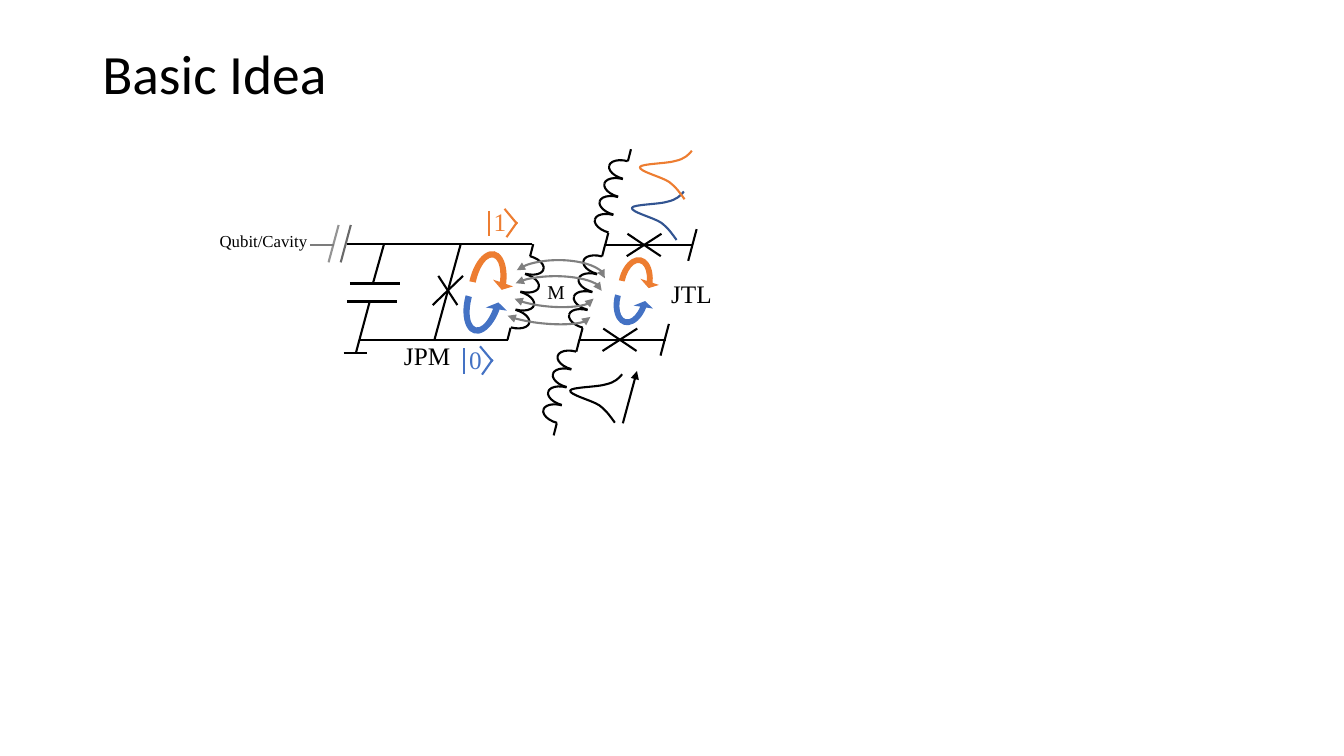
from lxml.etree import SubElement
from pptx import Presentation
from pptx.dml.color import RGBColor
from pptx.enum.shapes import MSO_CONNECTOR as Connector, MSO_SHAPE as Shape
from pptx.enum.text import MSO_ANCHOR as Anchor
from pptx.oxml.ns import qn
from pptx.util import Pt

BLACK, GRAY, LEAD_GRAY = "000000", "808080", "7C7C7C"
ORANGE, BLUE, NAVY = "ED7D31", "4472C4", "325491"
SERIF = "Times New Roman"
LINE_WIDTH = 1.5
COIL_LOOPS = 4
# Cubic Bezier pieces of the pulse outline, measured from its lower end
PULSE = [
    [(-2.9, -3.9), (-5.5, -8.1), (-11, -12.3)],
    [(-16.4, -16), (-33, -20), (-31.9, -23)],
    [(-31, -25.4), (-12.4, -25.4), (-6.3, -27.4)],
    [(0, -28.8), (2.9, -31.7), (5.2, -34.6)],
]


def color(hex_string):
    return RGBColor.from_string(hex_string)


class Region:
    """Draws parts at offsets from its own top left point."""

    def __init__(self, slide, x, y):
        self.shapes, self.x, self.y = slide.shapes, x, y

    def at(self, x, y):
        return Pt(self.x + x), Pt(self.y + y)

    def style_line(self, part, hex_string, ends=()):
        part.line.color.rgb = color(hex_string)
        part.line.width = Pt(LINE_WIDTH)
        for end in ends:
            SubElement(part.line._get_or_add_ln(), qn(f"a:{end}"), type="triangle")

    def line(self, start, end, hex_string=BLACK, alpha=None, ends=()):
        wire = self.shapes.add_connector(Connector.STRAIGHT, *self.at(*start), *self.at(*end))
        self.style_line(wire, hex_string, ends)
        SubElement(wire._element.spPr, qn("a:effectLst"))
        if alpha:
            tint = wire._element.spPr.find(".//" + qn("a:srgbClr"))
            SubElement(tint, qn("a:alpha"), val=str(alpha * 1000))

    def curved(self, kind, x, y, width, height, rotation, flip, adjustments):
        part = self.shapes.add_shape(kind, *self.at(x, y), Pt(width), Pt(height))
        part.shadow.inherit = False
        part.rotation = rotation
        if flip:
            part._element.spPr.find(qn("a:xfrm")).set(flip, "1")
        for index, value in enumerate(adjustments):
            part.adjustments[index] = value
        return part

    def arc(self, x, y, width, height, rotation=0, flip=None, adjustments=(),
            hex_string=BLACK, ends=()):
        part = self.curved(Shape.ARC, x, y, width, height, rotation, flip, adjustments)
        part.fill.background()
        self.style_line(part, hex_string, ends)

    def current(self, x, y, width, height, hex_string, rotation, flip=None):
        """Circulating current as a bent arrow."""
        part = self.curved(Shape.CIRCULAR_ARROW, x, y, width, height, rotation, flip,
                           (0.125, 15.532, 204.577, 108, 0.206))
        part.fill.solid()
        part.fill.fore_color.rgb = color(hex_string)
        part.line.fill.background()

    def text(self, words, x, y, width, height, size=18, hex_string=BLACK,
             font=SERIF, wrap=False):
        frame = self.shapes.add_textbox(*self.at(x, y), Pt(width), Pt(height)).text_frame
        frame.word_wrap = wrap
        frame.text = words
        letters = frame.paragraphs[0].runs[0].font
        letters.name, letters.size = font, Pt(size)
        letters.color.rgb = color(hex_string)
        return frame

    def coil(self, x, y, rotation):
        self.line((x, y), (x - 2.2, y + 8.6))
        self.line((x - 16.2, y + 59.8), (x - 18.4, y + 68.4))
        for loop in range(COIL_LOOPS):
            for flip in (None, "flipH"):
                self.arc(x - 10.6 - 3.4 * loop, y + 2.9 + 12.8 * loop, 13, 23.8,
                         rotation, flip)

    def junction(self, x, y, falling, rising, half_height):
        """Josephson cross; falling and rising are the strokes' half widths."""
        self.line((x - falling, y - half_height), (x + falling, y + half_height))
        self.line((x - rising, y + half_height), (x + rising, y - half_height))

    def ket(self, state, x, y, hex_string):
        self.text(state, x, y, 23.8, 28.8, hex_string=hex_string)
        for x1, y1, x2, y2 in ((3.6, 6.5, 3.6, 24.5), (14.8, 5, 23.8, 15.8),
                               (23.8, 14.4, 16.2, 25.2)):
            self.line((x + x1, y + y1), (x + x2, y + y2), hex_string)

    def pulse(self, x, y, hex_string):
        """Bell curve: straight pieces between the knots, then bent into cubics."""
        pieces = [[self.at(x + dx, y + dy) for dx, dy in piece] for piece in PULSE]
        builder = self.shapes.build_freeform(*self.at(x, y))
        builder.add_line_segments([piece[-1] for piece in pieces], close=False)
        outline = builder.convert_to_shape()
        segments = outline._element.spPr.findall(".//" + qn("a:lnTo"))
        for segment, piece in zip(segments, pieces):
            curve = SubElement(segment.getparent(), qn("a:cubicBezTo"))
            for px, py in piece:
                SubElement(curve, qn("a:pt"), x=str(px - outline.left),
                           y=str(py - outline.top))
            segment.getparent().remove(segment)
        outline.shadow.inherit = False
        outline.fill.background()
        self.style_line(outline, hex_string)


def draw_title(slide, x, y, width, height):
    frame = Region(slide, x, y).text("Basic Idea", 0, 0, width, height, 39.6,
                                     font="Calibri", wrap=True)
    frame.vertical_anchor = Anchor.MIDDLE
    frame.paragraphs[0].line_spacing = 0.9


def draw_jpm(slide, x, y):
    """Photon multiplier loop; x, y is the left end of its top rail."""
    jpm = Region(slide, x, y)
    jpm.coil(133.2, 0, 105.1)
    wires = {
        "top rail": ((0, 0), (132.5, 0)),
        "bottom rail": ((9.4, 68.4), (115.2, 68.4)),
        "junction branch": ((62.6, 68.4), (81.4, 0)),
        "upper capacitor lead": ((18.7, 28.1), (26.6, 0)),
        "lower capacitor lead": ((6.5, 77.8), (16.6, 40.3)),
        "upper plate": ((2.2, 28.1), (38.2, 28.1)),
        "lower plate": ((0, 41), (36, 41)),
        "ground": ((-2.2, 77.8), (14.4, 77.8)),
    }
    for start, end in wires.values():
        jpm.line(start, end)
    jpm.junction(72.2, 33.1, 6.8, 10.8, 10.4)
    jpm.current(82.1, -0.7, 36.7, 59.8, ORANGE, 11.7)
    jpm.current(79.2, 10.1, 36.7, 59.8, BLUE, 195.4, "flipH")
    for plate_x, alpha in ((-4.3, 59), (-13, 42)):
        jpm.line((plate_x, 13), (plate_x + 7.2, -13.7), alpha=alpha)
    jpm.line((-25.9, 0.7), (-9.4, 0.7), LEAD_GRAY)
    jpm.text("JPM", 33.8, 65.5, 47.5, 28.8)
    jpm.text("Qubit/Cavity", -97.9, -13, 77.8, 21.6, 12)
    jpm.ket("0", 80.4, 68, BLUE)
    jpm.ket("1", 97.9, -30.2, ORANGE)


def draw_jtl(slide, x, y):
    """Transmission line; x, y is the left end of its upper rung."""
    jtl = Region(slide, x, y)
    for cell in (-1, 0, 1):
        jtl.coil(-0.4 - 18.4 * cell, -0.4 + 68 * cell, 285.2)
    for left, top, cross, end in ((0, 0, 27.4, 61.9), (-18.7, 67.7, 10.1, 42.1)):
        jtl.line((left, top), (left + 61.9, top))
        jtl.line((end - 3, top + 11.3), (end + 3, top - 11.3))
        jtl.junction(cross, top, 11.9, 12.4, 8)
    jtl.current(4.3, 3.6, 33.8, 48.2, ORANGE, 11.7)
    jtl.current(1.4, 14.4, 33.8, 48.2, BLUE, 195.4, "flipH")
    jtl.pulse(6.5, 126.9, BLACK)
    jtl.pulse(50.6, -3.6, NAVY)
    jtl.pulse(56.3, -32.7, ORANGE)
    jtl.line((12.2, 127.4), (22.3, 90), ends=("tailEnd",))
    jtl.text("JTL", 39.6, 20.2, 43.9, 28.8)


def draw_coupling(slide, x, y):
    coupling = Region(slide, x, y)
    for field in ((10.1, 0, 66.2, 25.9), (7.9, 11.5, 66.2, 20.9),
                  (0, 29.5, 66.2, 15.8, 5.6, "flipV"),
                  (6.5, 16.6, 61.9, 16.6, 4.8, "flipV")):
        coupling.arc(*field, adjustments=(114.495, 0), hex_string=GRAY,
                     ends=("headEnd", "tailEnd"))
    coupling.text("M", 28.1, 10.8, 27.4, 24.5, 14)


def main():
    deck = Presentation()
    deck.slide_width, deck.slide_height = Pt(960), Pt(540)
    slide = deck.slides.add_slide(deck.slide_layouts[6])
    draw_title(slide, 66, 28.8, 828, 51.8)
    draw_jpm(slide, 247.7, 174.4)
    draw_jtl(slide, 432.7, 175)
    draw_coupling(slide, 355.7, 185.8)
    deck.save("out.pptx")


if __name__ == "__main__":
    main()
